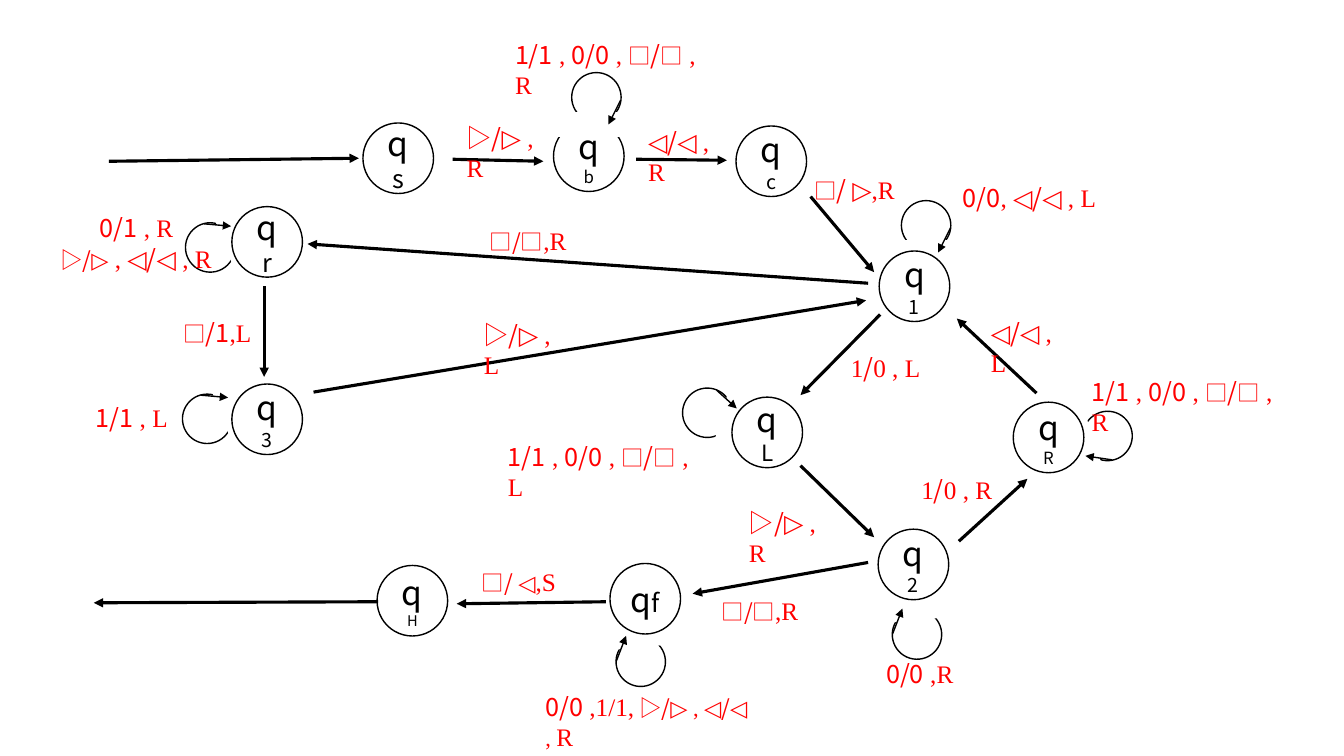
from math import cos, radians, sin

from pptx import Presentation
from pptx.dml.color import RGBColor
from pptx.enum.shapes import MSO_CONNECTOR as LINK, MSO_SHAPE as SHAPE
from pptx.enum.text import MSO_ANCHOR as ANCHOR, MSO_AUTO_SIZE as FIT, PP_ALIGN as ALIGN
from pptx.oxml.ns import qn
from pptx.util import Inches, Pt
from lxml.etree import SubElement

BLACK = RGBColor(0, 0, 0)
WHITE = RGBColor(255, 255, 255)
RED = RGBColor(255, 0, 0)
SANS, SERIF = "Noto Sans CJK SC", "Times New Roman"
# Run styles: font and size
N, n, T, t = (SANS, 18), (SANS, 16), (SERIF, 18), (SERIF, 16)
NODE, RING, CUT_W, CUT_H = 0.7, 0.49, 0.78, 0.24

# Left, top, subscript, subscript size
STATES = [
    (5.49, 1.2, "b", 12), (3.6, 1.22, "s", 18), (7.3, 1.25, "c", 14),
    (8.72, 2.49, "1", 14), (7.26, 3.94, "L", 16), (10.05, 3.99, "R", 12),
    (8.71, 5.25, "2", 14), (2.3, 2.05, "r", 18), (2.3, 3.81, "3", 14),
    (6.05, 5.59, "f", 18), (3.74, 5.61, "H", 10.5),
]

# Left, top, rotation
LOOPS = [
    (5.67, 0.72, 0), (8.94, 1.99, 0), (6.77, 3.85, 285.6), (10.74, 4.08, 71.9),
    (8.85, 6.05, 174.6), (6.11, 6.32, 174.6), (1.84, 2.21, 248.5), (1.81, 3.91, 248.5),
]

# Start and end of each transition
MOVES = [
    (1.08, 1.6, 3.56, 1.57), (4.49, 1.58, 5.39, 1.6), (6.31, 1.58, 7.21, 1.59),
    (8.04, 1.95, 8.67, 2.7), (8.73, 3.12, 7.94, 3.92), (7.94, 4.62, 8.67, 5.33),
    (9.51, 5.37, 10.19, 4.75), (10.28, 3.9, 9.49, 3.16), (8.61, 2.81, 3.05, 2.42),
    (3.11, 3.89, 8.59, 2.98), (2.62, 2.84, 2.62, 3.74), (8.61, 5.58, 6.87, 5.89),
    (6.01, 5.97, 4.53, 5.99), (3.75, 5.97, 0.93, 5.98),
]


def scan(way):
    return [("1/1", N), (" , ", T), ("0/0", N), (" , ", T),
            ("□", n), ("/", N), ("□", n), (" , " + way, T)]


def start(way):
    return [("▷/", N), ("▷ , " + way, T)]


def end(way):
    return [("◁", T), ("/", N), ("◁ , " + way, T)]


def flip(way):
    return [("1", T), ("/", N), ("0 , " + way, T)]


BLANK = [("□/□", n), (",R", T)]

# Left, top, width, first-line indent, paragraphs of runs
LABELS = [
    (4.53, 1.16, 0.9, 0, [start("R")]),
    (5.01, 0.34, 2.2, 0, [scan("R")]),
    (6.33, 1.2, 0.9, 0, [end("R")]),
    (7.98, 1.68, 1.12, 0, [[("□", n), ("/", N), (" ", t), ("▷,R", T)]]),
    (9.45, 1.76, 2.55, 0, [[("0/0", N), (", ◁", T), ("/", N), ("◁ , L", T)]]),
    (8.34, 3.45, 0.9, 0, [flip("L")]),
    (4.94, 4.33, 2.2, 0, [scan("L")]),
    (7.33, 4.98, 0.9, 0, [start("R")]),
    (8.69, 6.48, 1.17, 0, [[("0/0", N), (" ,R", T)]]),
    (9.04, 4.66, 0.9, 0, [flip("R")]),
    (10.73, 3.68, 2.2, 0, [scan("R")]),
    (9.73, 3.1, 0.9, 0, [end("L")]),
    (4.76, 2.19, 1.63, 0, [BLANK]),
    (0.5, 2.06, 1.8, 0.39, [
        [("0/1", N), (" , R", T)],
        [("▷/", n), ("▷", t), (" , ◁", T), ("/", N), ("◁ , R", T)]]),
    (0.46, 3.94, 1.8, 0.39, [[("1/1", N), (" , L", T)]]),
    (1.72, 3.1, 1.25, 0, [[("□", n), ("/1", N), (",L", T)]]),
    (4.7, 3.12, 0.9, 0, [start("L")]),
    (7.06, 5.86, 1.63, 0, [BLANK]),
    (5.31, 6.81, 2.24, 0, [[("0/0", N), (" ,1/1,", T), (" ▷/", n), ("▷ , ◁", t),
                            ("/", n), ("◁ , ", t), ("R", T)]]),
    (4.68, 5.57, 1.63, 0, [[("□/", n), (" ◁", t), (",S", T)]]),
]


def write(para, runs, color):
    for text, (face, size) in runs:
        run = para.add_run()
        run.text = text
        run.font.size = Pt(size)
        run.font.color.rgb = color
        run.font.name = face
        SubElement(run.font._element, qn("a:ea"), typeface=face)


def form(shapes, kind, x, y, w, h, edge):
    item = shapes.add_shape(kind, Inches(x), Inches(y), Inches(w), Inches(h))
    item.shadow.inherit = False
    item.fill.solid()
    item.fill.fore_color.rgb = WHITE
    item.line.color.rgb = edge
    item.line.width = Pt(1)
    return item


def arrow(shapes, x1, y1, x2, y2, width):
    link = shapes.add_connector(LINK.STRAIGHT, Inches(x1), Inches(y1), Inches(x2), Inches(y2))
    link.line.color.rgb = BLACK
    link.line.width = Pt(width)
    SubElement(link.line._get_or_add_ln(), qn("a:tailEnd"), type="triangle")
    SubElement(link._element.spPr, qn("a:effectLst"))


def state(shapes, x, y, sub, size):
    node = form(shapes, SHAPE.OVAL, x, y, NODE, NODE, BLACK)
    frame = node.text_frame
    frame.word_wrap = True
    frame.vertical_anchor = ANCHOR.MIDDLE
    para = frame.paragraphs[0]
    para.alignment = ALIGN.CENTER
    write(para, [("q", (SANS, 24)), (sub, (SANS, size))], BLACK)


def loop(shapes, x, y, turn):
    part = shapes.add_group_shape().shapes
    mid_x, mid_y = x + RING / 2, y + RING / 2
    c, s = cos(radians(turn)), sin(radians(turn))

    def spin(dx, dy):
        return mid_x + dx * c - dy * s, mid_y + dx * s + dy * c

    # Ring, the white patch that opens it, and its arrow
    ring = form(part, SHAPE.OVAL, x, y, RING, RING, BLACK)
    cut_x, cut_y = spin(-0.05, 0.27)
    cut = form(part, SHAPE.RECTANGLE, cut_x - CUT_W / 2, cut_y - CUT_H / 2, CUT_W, CUT_H, WHITE)
    ring.rotation = cut.rotation = turn
    arrow(part, *spin(0.24, 0.03), *spin(0.12, 0.27), 1)


def label(shapes, x, y, w, indent, lines):
    box = shapes.add_textbox(Inches(x), Inches(y), Inches(w), Inches(0.4 + 0.31 * (len(lines) - 1)))
    frame = box.text_frame
    frame.word_wrap = True
    frame.auto_size = FIT.SHAPE_TO_FIT_TEXT
    for i, runs in enumerate(lines):
        para = frame.add_paragraph() if i else frame.paragraphs[0]
        if indent and not i:
            para._p.get_or_add_pPr().set("marL", str(Inches(indent)))
        write(para, runs, RED)


def machine(shapes):
    # The first state lies under its loop, the others above theirs
    state(shapes, *STATES[0])
    for item in LOOPS:
        loop(shapes, *item)
    for item in STATES[1:]:
        state(shapes, *item)
    for item in MOVES:
        arrow(shapes, *item, 2.25)
    for item in LABELS:
        label(shapes, *item)


def main():
    deck = Presentation()
    deck.slide_width, deck.slide_height = Inches(13.33), Inches(7.5)
    slide = deck.slides.add_slide(deck.slide_layouts[6])
    machine(slide.shapes)
    deck.save("out.pptx")


if __name__ == "__main__":
    main()
